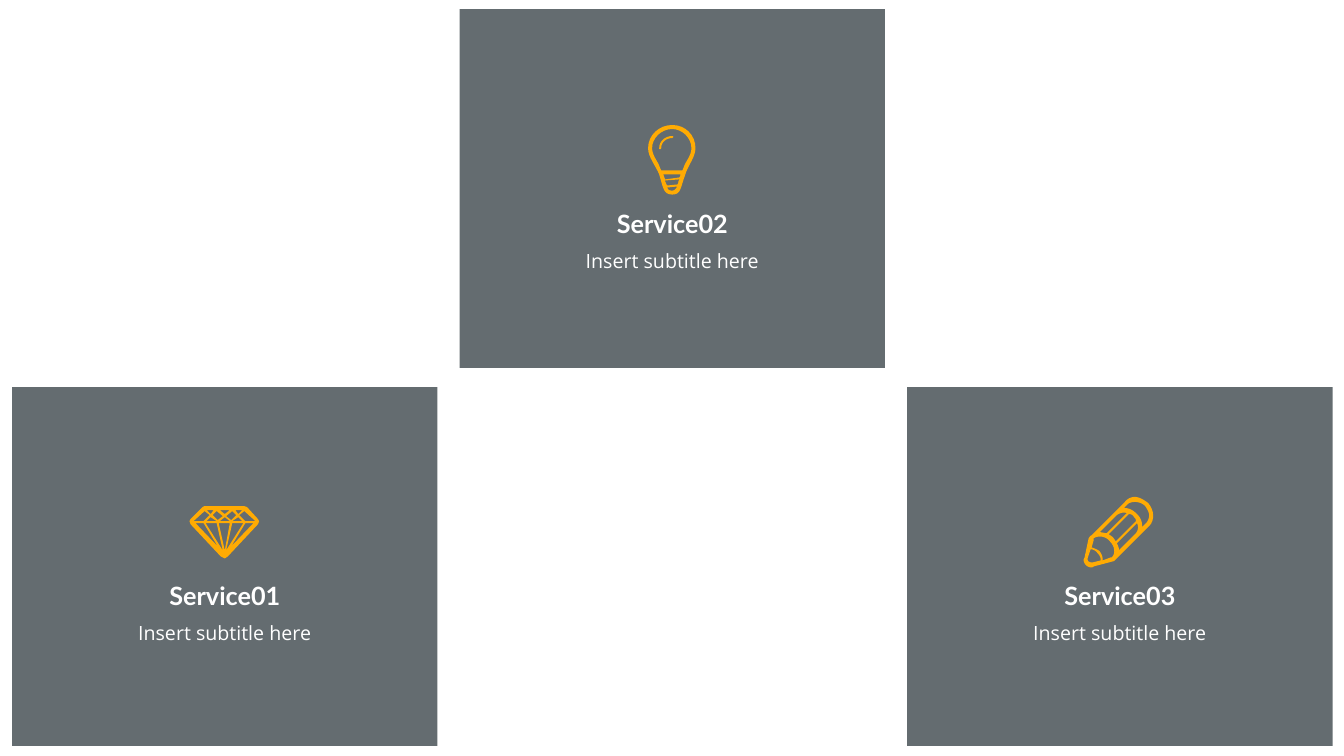
from lxml import etree
from pptx import Presentation
from pptx.dml.color import RGBColor
from pptx.enum import shapes, text
from pptx.oxml import ns
from pptx.util import Pt

SLATE = RGBColor(0x31, 0x3C, 0x41)
AMBER = RGBColor(0xFF, 0xAB, 0x03)
WHITE = RGBColor(0xFF, 0xFF, 0xFF)

UNIT = 0.72  # points per icon grid unit
CURVE_STEPS = 8

# Icon outlines: pairs are corners, six numbers are a Bezier curve
GEM_AXIS = 34.7
GEM_RIM = [(68, 13), (57, 1), (54, 0), (15, 0), (13, 1), (1, 13), (0, 15),
           (1, 18), (31, 50), (35, 52), (38, 50), (68, 18), (69, 15)]
GEM_MIDDLE = [
    [(35, 8), (30, 4), (40, 4)],
    [(40, 15), (30, 15), (35, 11)],
    [(40, 17), (35, 44), (29, 17)],
]
GEM_LEFT = [
    [(28, 14), (23, 9), (27, 5), (33, 10)],
    [(21, 8), (17, 4), (24, 4)],
    [(21, 11), (27, 15), (17, 15)],
    [(27, 17), (33, 44), (16, 17)],
    [(28, 40), (6, 17), (14, 17)],
    [(15, 5), (20, 9), (14, 15), (4, 15)],
]
GEM_RIGHT = [[(2 * GEM_AXIS - x, y) for x, y in facet] for facet in GEM_LEFT]
GEM = [GEM_RIM] + GEM_MIDDLE + GEM_LEFT + GEM_RIGHT

BULB = [
    [(24, 0), (11, 0, 0, 10, 0, 23), (0, 32, 8, 41, 11, 49),
     (15, 62, 15, 69, 24, 69), (33, 69, 32, 62, 37, 49),
     (39, 41, 47, 32, 47, 23), (47, 10, 37, 0, 24, 0)],
    [(29, 59), (19, 60), (18, 59, 18, 58, 17, 56), (17, 55), (31, 54),
     (31, 55, 30, 55, 30, 56), (30, 57, 30, 58, 29, 59)],
    [(17, 54), (16, 52, 16, 51, 15, 49), (32, 49), (32, 50, 32, 51, 31, 52)],
    [(24, 65), (22, 65, 20, 65, 19, 62), (29, 61), (27, 64, 26, 65, 24, 65)],
    [(34, 45), (13, 45), (12, 43, 11, 40, 10, 38), (7, 33, 4, 28, 4, 23),
     (4, 13, 13, 4, 24, 4), (34, 4, 43, 13, 43, 23),
     (43, 28, 40, 33, 37, 38), (36, 40, 35, 43, 34, 45)],
]
GLINT = [
    [(24, 11), (17, 11, 11, 16, 11, 23), (11, 24, 11, 24, 12, 24),
     (12, 24, 13, 24, 13, 23), (13, 17, 18, 13, 24, 13),
     (24, 13, 25, 12, 25, 12), (25, 11, 24, 11, 24, 11)],
]
PENCIL = [
    [(64, 6), (60, 3, 55, 0, 51, 0), (47, 0, 43, 2, 41, 5), (8, 38),
     (6, 39, 6, 40, 5, 41), (1, 60), (0, 62), (0, 66, 3, 70, 8, 70),
     (9, 70, 10, 69, 10, 69), (29, 64), (30, 64, 31, 63, 32, 62), (65, 29),
     (71, 23, 70, 13, 64, 6)],
    [(35, 52), (35, 50, 34, 48, 33, 46), (53, 26),
     (55, 30, 54, 34, 51, 37), (35, 53)],
    [(32, 44), (31, 43, 30, 41, 29, 40), (28, 39, 26, 38, 25, 37), (45, 17),
     (47, 17, 49, 18, 50, 20), (51, 21, 52, 22, 52, 24)],
    [(23, 36), (21, 36, 18, 35, 16, 35), (33, 18), (36, 16, 39, 15, 43, 16)],
    [(9, 65), (8, 65), (6, 65, 4, 64, 4, 62), (4, 61), (7, 52),
     (9, 52, 12, 53, 14, 56), (16, 58, 17, 60, 17, 63)],
    [(19, 63), (19, 59, 18, 57, 16, 54), (14, 52, 10, 51, 8, 50), (10, 43),
     (10, 42, 10, 41, 10, 41), (15, 38, 22, 39, 26, 44),
     (31, 49, 32, 56, 28, 60), (27, 60)],
    [(62, 26), (58, 30), (58, 29, 58, 29, 58, 28), (58, 24, 56, 20, 53, 17),
     (49, 13, 45, 11, 40, 11), (44, 7), (45, 6, 48, 5, 51, 5),
     (54, 5, 58, 6, 61, 9), (63, 12, 65, 15, 65, 18),
     (65, 21, 64, 24, 62, 26)],
]


def flatten(outline):
    """Turn corners and curves into a list of points in EMU."""
    points = []
    for seg in outline:
        if len(seg) == 2:
            points.append(seg)
            continue
        x0, y0 = points[-1]
        x1, y1, x2, y2, x3, y3 = seg
        for i in range(1, CURVE_STEPS + 1):
            t = i / CURVE_STEPS
            a, b, c, d = (1 - t) ** 3, 3 * t * (1 - t) ** 2, 3 * t * t * (1 - t), t ** 3
            points.append((a * x0 + b * x1 + c * x2 + d * x3,
                           a * y0 + b * y1 + c * y2 + d * y3))
    return [(Pt(x * UNIT), Pt(y * UNIT)) for x, y in points]


class Deck:
    """Style and current slide."""
    title_font, title_size = "Lato", 18
    body_font, body_size = "Open Sans", 14

    def __init__(self, prs):
        self.s = prs.slides.add_slide(prs.slide_layouts[6])

    def paint(self, sp, color):
        sp.shadow.inherit = False
        sp.fill.solid()
        sp.fill.fore_color.rgb = color
        sp.line.fill.background()

    def panel(self, x, y, w, h, opacity):
        sp = self.s.shapes.add_shape(shapes.MSO_SHAPE.RECTANGLE,
                                     Pt(x), Pt(y), Pt(w), Pt(h))
        self.paint(sp, SLATE)
        clr = sp.fill._xPr.find(".//" + ns.qn("a:srgbClr"))
        etree.SubElement(clr, ns.qn("a:alpha")).set("val", str(opacity * 1000))

    def label(self, x, y, w, h, words, font, size, bold=False, wrap=False, spacing=None):
        tf = self.s.shapes.add_textbox(Pt(x), Pt(y), Pt(w), Pt(h)).text_frame
        tf.word_wrap = wrap
        tf.auto_size = text.MSO_AUTO_SIZE.SHAPE_TO_FIT_TEXT
        p = tf.paragraphs[0]
        p.alignment = text.PP_ALIGN.CENTER
        if spacing:
            p.line_spacing = spacing
        r = p.add_run()
        r.text = words
        r.font.name, r.font.size, r.font.bold = font, Pt(size), bold
        r.font.color.rgb = WHITE

    def icon(self, x, y, outlines):
        first, *rest = [flatten(o) for o in outlines]
        fb = self.s.shapes.build_freeform(*first[0], scale=1.0)
        fb.add_line_segments(first[1:], close=True)
        for points in rest:
            fb.move_to(*points[0])
            fb.add_line_segments(points[1:], close=True)
        self.paint(fb.convert_to_shape(Pt(x), Pt(y)), AMBER)


prs = Presentation()
prs.slide_width, prs.slide_height = Pt(960), Pt(540)
deck = Deck(prs)

# Service cards: title, top, text top, icon position, icon parts
CARD_W, CARD_H, CARD_LEFT, CARD_STEP = 303.84, 256.32, 8.64, 319.68
TITLE_W, SUBTITLE_W = 95, 196.56
cards = [
    ("Service01", 276.48, 411.12, (135.36, 361.44), [GEM]),
    ("Service02", 6.48, 145.44, (462.96, 89.28), [BULB, GLINT]),
    ("Service03", 276.48, 411.12, (774, 354.96), [PENCIL]),
]
for i, (title, top, text_top, icon_at, parts) in enumerate(cards):
    left = CARD_LEFT + i * CARD_STEP
    middle = left + CARD_W / 2
    deck.panel(left, top, CARD_W, CARD_H, opacity=75)
    deck.label(middle - TITLE_W / 2, text_top, TITLE_W, 28.8, title,
               deck.title_font, deck.title_size, bold=True)
    deck.label(middle - SUBTITLE_W / 2, text_top + 20.6, SUBTITLE_W, 30.24,
               "Insert subtitle here", deck.body_font, deck.body_size,
               wrap=True, spacing=1.5)
    for part in parts:
        deck.icon(*icon_at, part)

prs.save("out.pptx")
